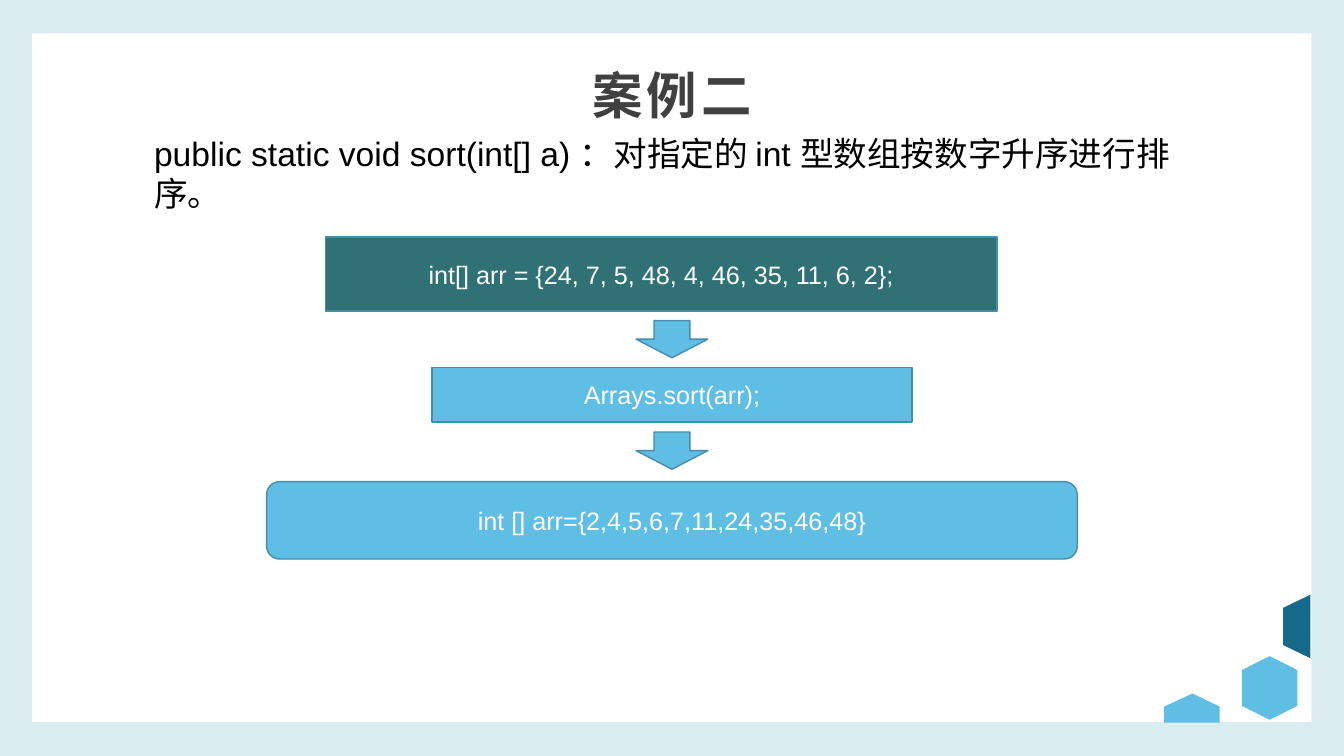
"""Build the slide that shows how Arrays.sort orders an int array."""
from dataclasses import dataclass

from lxml import etree
from pptx import Presentation
from pptx.dml.color import RGBColor
from pptx.enum.shapes import MSO_SHAPE
from pptx.enum.text import MSO_ANCHOR, MSO_AUTO_SIZE, PP_ALIGN
from pptx.oxml.ns import qn
from pptx.shapes.autoshape import Shape
from pptx.slide import Slide
from pptx.text.text import TextFrame
from pptx.util import Pt

RECTANGLE = MSO_SHAPE.RECTANGLE
ROUNDED = MSO_SHAPE.ROUNDED_RECTANGLE
DOWN_ARROW = MSO_SHAPE.DOWN_ARROW
HEXAGON = MSO_SHAPE.HEXAGON
MIDDLE = MSO_ANCHOR.MIDDLE
NO_FIT = MSO_AUTO_SIZE.NONE
GROW = MSO_AUTO_SIZE.SHAPE_TO_FIT_TEXT
LEFT = PP_ALIGN.LEFT
CENTER = PP_ALIGN.CENTER

FRAME = RGBColor(0xDB, 0xEC, 0xF1)
WHITE = RGBColor(0xFF, 0xFF, 0xFF)
BLACK = RGBColor(0x00, 0x00, 0x00)
CHARCOAL = RGBColor(0x40, 0x40, 0x40)
SKY = RGBColor(0x5E, 0xBE, 0xE4)
TEAL = RGBColor(0x2F, 0x71, 0x74)
NAVY = RGBColor(0x17, 0x69, 0x8A)
OUTLINE = RGBColor(0x46, 0x8D, 0xA9)

LATIN_FONT = "Arial"
CHINESE_FONT = "Noto Sans CJK SC"


@dataclass(frozen=True)
class Block:
    kind: MSO_SHAPE
    left: float
    top: float
    width: float
    height: float
    fill: RGBColor = SKY
    line: RGBColor | None = OUTLINE
    text: str = ""
    rotation: float = 0


@dataclass(frozen=True)
class Fragment:
    points: tuple[tuple[float, float], ...]
    fill: RGBColor


CARD = Block(RECTANGLE, 23, 23.8, 913.7, 491.8, WHITE, None)
HEXAGON_TILE = Block(HEXAGON, 884.2, 471.6, 45.4, 39.6, SKY, None, rotation=270)
FRAGMENTS = (
    Fragment(((851.8, 495.4), (871.2, 504.7), (871.2, 516.2), (831.6, 516.2), (831.6, 504.7)), SKY),
    Fragment(((936, 424.8), (916.6, 434.2), (916.6, 460.8), (936, 470.2)), NAVY),
)
STEPS = (
    Block(RECTANGLE, 232.4, 169.4, 479.8, 52.8, TEAL, text="int[] arr = {24, 7, 5, 48, 4, 46, 35, 11, 6, 2};"),
    Block(RECTANGLE, 308.6, 262.4, 342.8, 39, text="Arrays.sort(arr);"),
    Block(ROUNDED, 190.5, 344, 579, 55.3, text="int [] arr={2,4,5,6,7,11,24,35,46,48}"),
)
ARROWS = tuple(Block(DOWN_ARROW, 454.4, top, 51.2, 26.6) for top in (229, 308.6))


def write_text(frame: TextFrame, text: str, *, size: float, color: RGBColor,
               font: str = LATIN_FONT, bold: bool = False,
               align: PP_ALIGN = CENTER, spacing: int = 0) -> None:
    frame.word_wrap = True
    paragraph = frame.paragraphs[0]
    paragraph.alignment = align
    run = paragraph.add_run()
    run.text = text
    run.font.size = Pt(size)
    run.font.bold = bold
    run.font.name = font
    run.font.color.rgb = color
    properties = run.font._element
    etree.SubElement(properties, qn("a:ea")).set("typeface", CHINESE_FONT)
    if spacing:
        properties.set("spc", str(spacing * 100))


def paint(shape: Shape, fill: RGBColor, line: RGBColor | None) -> None:
    shape.shadow.inherit = False
    shape.fill.solid()
    shape.fill.fore_color.rgb = fill
    if line is None:
        shape.line.fill.background()
    else:
        shape.line.color.rgb = line
        shape.line.width = Pt(1)


def draw_block(slide: Slide, block: Block) -> Shape:
    shape = slide.shapes.add_shape(
        block.kind, Pt(block.left), Pt(block.top), Pt(block.width), Pt(block.height))
    shape.rotation = block.rotation
    paint(shape, block.fill, block.line)
    if block.text:
        shape.text_frame.vertical_anchor = MIDDLE
        write_text(shape.text_frame, block.text, size=18, color=WHITE)
    return shape


def draw_fragment(slide: Slide, fragment: Fragment) -> None:
    start, *rest = [(Pt(x), Pt(y)) for x, y in fragment.points]
    builder = slide.shapes.build_freeform(*start, scale=1.0)
    builder.add_line_segments(rest, close=True)
    paint(builder.convert_to_shape(), fragment.fill, None)


def format_title(slide: Slide) -> None:
    title = slide.shapes.title
    title.left, title.top, title.width, title.height = Pt(48), Pt(23.8), Pt(864), Pt(98)
    frame = title.text_frame
    frame.auto_size = NO_FIT
    frame.vertical_anchor = MIDDLE
    frame.margin_left = frame.margin_right = Pt(6)
    frame.margin_top, frame.margin_bottom = Pt(3), Pt(9)
    write_text(frame, "案例二", size=36, color=CHARCOAL, font=CHINESE_FONT, bold=True, spacing=3)
    paragraph = frame.paragraphs[0]
    paragraph.line_spacing = 0.9
    paragraph.space_before = Pt(0)
    paragraph.space_after = Pt(8)


def draw_description(slide: Slide) -> None:
    box = slide.shapes.add_textbox(Pt(103), Pt(91.4), Pt(753.8), Pt(65.5))
    write_text(box.text_frame, "public static void sort(int[] a) ：对指定的 int 型数组按数字升序进行排序。",
               size=24, color=BLACK, align=LEFT)
    box.text_frame.auto_size = GROW


def main() -> None:
    presentation = Presentation()
    presentation.slide_width, presentation.slide_height = Pt(960), Pt(540)
    slide = presentation.slides.add_slide(presentation.slide_layouts[5])
    slide.background.fill.solid()
    slide.background.fill.fore_color.rgb = FRAME
    card = draw_block(slide, CARD)
    slide.shapes.title.element.addprevious(card.element)
    draw_block(slide, HEXAGON_TILE)
    for fragment in FRAGMENTS:
        draw_fragment(slide, fragment)
    format_title(slide)
    draw_description(slide)
    for block in STEPS + ARROWS:
        draw_block(slide, block)
    presentation.save("out.pptx")


if __name__ == "__main__":
    main()
